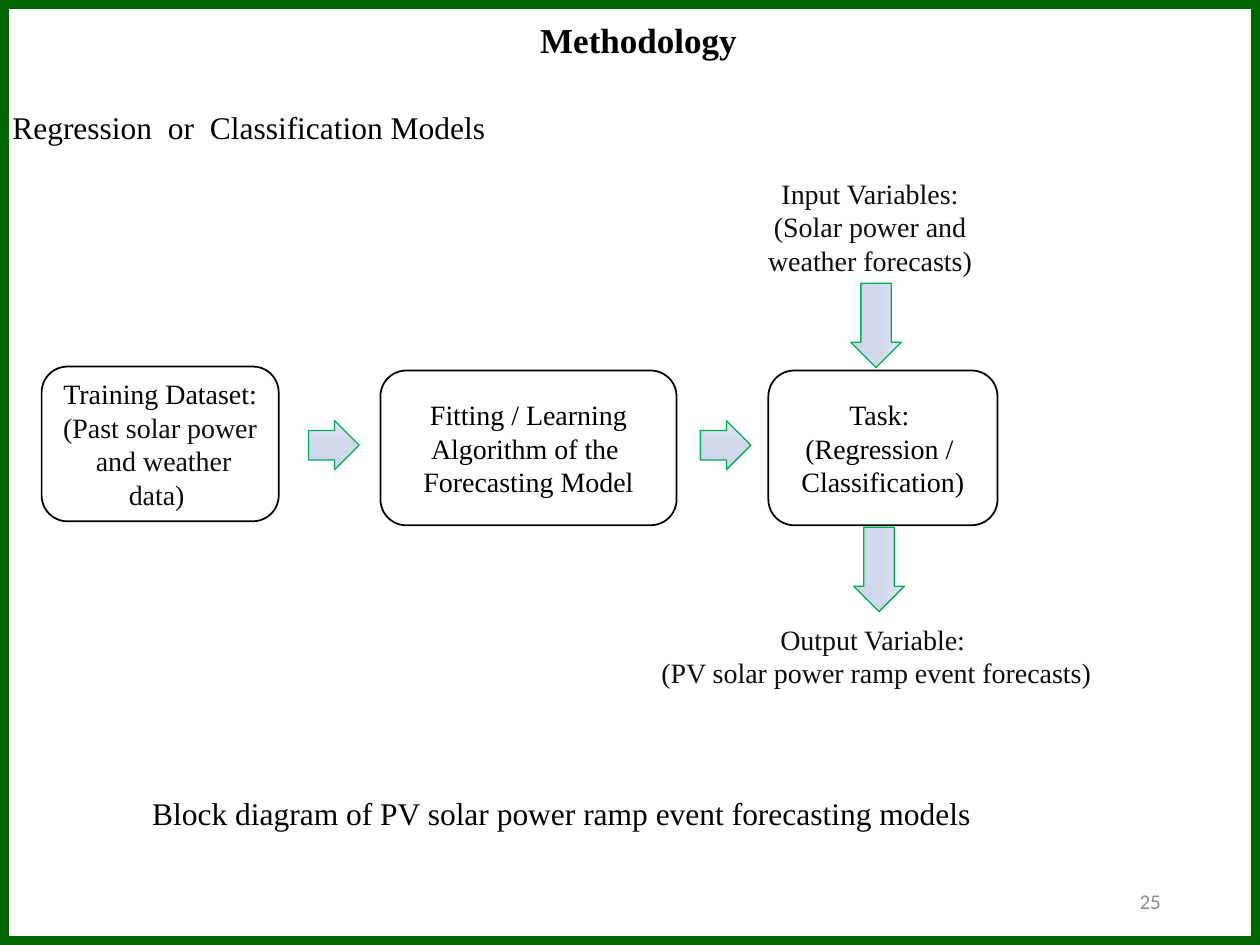
from copy import deepcopy

from pptx import Presentation
from pptx import util as u
from pptx.dml.color import RGBColor
from pptx.enum import shapes, text
from pptx.oxml import ns

COLORS = {
    "black": "000000",
    "soft_black": "0D0D0D",
    "page_number": "8C8C8C",
    "frame": "006600",
    "arrow_line": "00B050",
}
ARROW_SHADES = ["DEE3F1", "D2D8EC", "CBD3EB"]
SERIF = "Times New Roman"
CENTER = text.PP_ALIGN.CENTER


def rgb(name):
    """Return the named palette colour."""
    return RGBColor.from_string(COLORS[name])


def write(shape, lines, size, colors, align=None, font=SERIF, bold=False):
    """Fill a shape with one paragraph per line, each in its own colour."""
    shape.text_frame.text = "\n".join(lines)
    for para, color in zip(shape.text_frame.paragraphs, colors):
        para.alignment = align
        for span in para.runs:
            span.font.name = font
            span.font.size = u.Pt(size)
            span.font.bold = bold
            span.font.color.rgb = rgb(color)


def add_label(page, box, lines, size, color="black", wrap=False, **style):
    """Add a text box and return it."""
    label = page.shapes.add_textbox(*map(u.Cm, box))
    write(label, lines, size, [color] * len(lines), **style)
    label.text_frame.word_wrap = wrap
    return label


def add_outline(page, kind, box, color, width):
    """Add an unfilled, unshadowed shape with a coloured outline."""
    shape = page.shapes.add_shape(kind, *map(u.Cm, box))
    shape.shadow.inherit = False
    shape.fill.background()
    shape.line.color.rgb = rgb(color)
    shape.line.width = u.Pt(width)
    return shape


def add_step(page, box, lines, colors):
    """Add a rounded process step with centred text."""
    step = add_outline(page, shapes.MSO_SHAPE.ROUNDED_RECTANGLE, box, "black", 1)
    write(step, lines, 16, colors, CENTER)
    step.text_frame.word_wrap = True
    step.text_frame.vertical_anchor = text.MSO_ANCHOR.MIDDLE


def add_arrow(page, box, rotation):
    """Add a shaded block arrow turned by the given angle."""
    arrow = add_outline(page, shapes.MSO_SHAPE.RIGHT_ARROW, box, "arrow_line", 0.75)
    arrow.adjustments[0] = 0.6
    arrow.adjustments[1] = 0.5
    arrow.rotation = rotation
    arrow.fill.gradient()
    arrow.fill.gradient_angle = 270
    stop_list = arrow.element.spPr.find(ns.qn("a:gradFill")).find(ns.qn("a:gsLst"))
    stop_list.insert(1, deepcopy(stop_list[0]))
    for index, (stop, shade) in enumerate(zip(arrow.fill.gradient_stops, ARROW_SHADES)):
        stop.position = index / 2
        stop.color.rgb = RGBColor.from_string(shade)


def add_heading(page, left, top):
    """Place the slide title and the subheading below it."""
    add_label(page, (left + 10.64, top, 4.5, 1.12), ["Methodology"], 20, bold=True)
    add_label(page, (left, top + 1.81, 10.16, 1.02),
              ["Regression  or  Classification Models"], 18)


def add_diagram(page, left, top):
    """Place the forecasting flow with its steps, arrows, input and output."""
    step_height = 3.12
    steps = [
        (0, 3.96, 4.78, ["Training Dataset:", "(Past solar power  and weather data) "],
         ["black", "soft_black"]),
        (6.83, 4.04, 5.97, ["Fitting / Learning Algorithm of the ", "Forecasting Model"],
         ["black"] * 2),
        (14.65, 4.04, 4.62, ["Task: ", "(Regression / ", "Classification)"],
         ["black"] * 3),
    ]
    for x, y, width, lines, colors in steps:
        add_step(page, (left + x, top + y, width, step_height), lines, colors)

    arrows = [
        (5.38, 5.05, 1.02, 0.99, 0),
        (13.28, 5.05, 1.02, 0.99, 0),
        (15.97, 2.62, 1.7, 1.02, 90),
        (16.03, 7.54, 1.7, 1.02, 90),
    ]
    for x, y, width, height, rotation in arrows:
        add_arrow(page, (left + x, top + y, width, height), rotation)

    labels = [
        (14.12, 0, 5.16, 2.31, ["Input Variables:", "(Solar power and weather forecasts)"]),
        (12.06, 8.99, 9.53, 1.63,
         ["Output Variable: ", "(PV solar power ramp event forecasts)"]),
    ]
    for x, y, width, height, lines in labels:
        add_label(page, (left + x, top + y, width, height), lines, 16, "soft_black",
                  wrap=True, align=CENTER)


def add_footer(page, left, top):
    """Place the diagram caption and the page number."""
    add_label(page, (left, top, 17.27, 1.02),
              ["Block diagram of PV solar power ramp event forecasting models"],
              18, align=CENTER)
    number = add_label(page, (left + 15.24, top + 1.78, 5.72, 1.02), ["25"], 12,
                       "page_number", wrap=True, align=text.PP_ALIGN.RIGHT,
                       font="Calibri")
    number.text_frame.vertical_anchor = text.MSO_ANCHOR.MIDDLE


def main():
    """Build the methodology slide and save the deck."""
    deck = Presentation()
    deck.slide_width, deck.slide_height = u.Cm(25.4), u.Cm(19.05)
    page = deck.slides.add_slide(deck.slide_layouts[6])
    add_heading(page, 0, 0.25)
    add_diagram(page, 0.84, 3.43)
    add_footer(page, 2.69, 15.88)
    add_outline(page, shapes.MSO_SHAPE.RECTANGLE, (0, 0, 25.4, 19.05), "frame", 10)
    deck.save("out.pptx")


if __name__ == "__main__":
    main()
